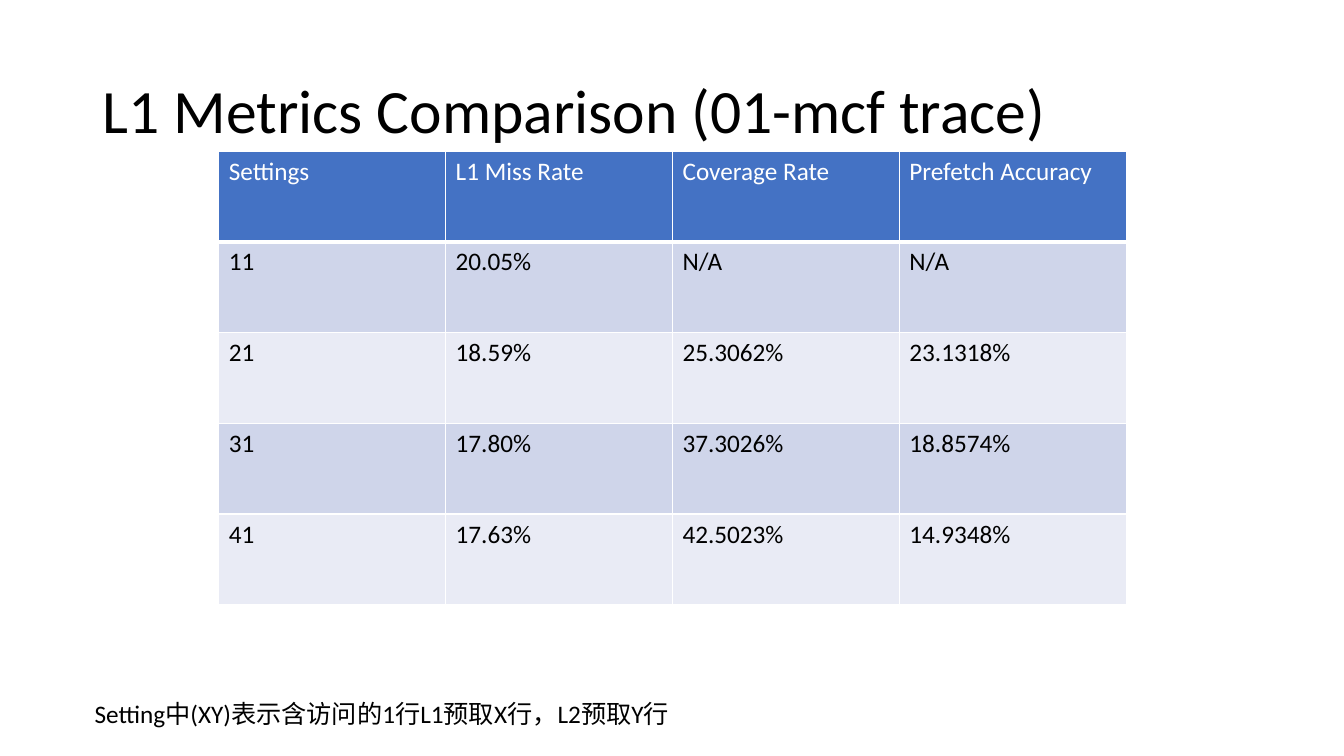
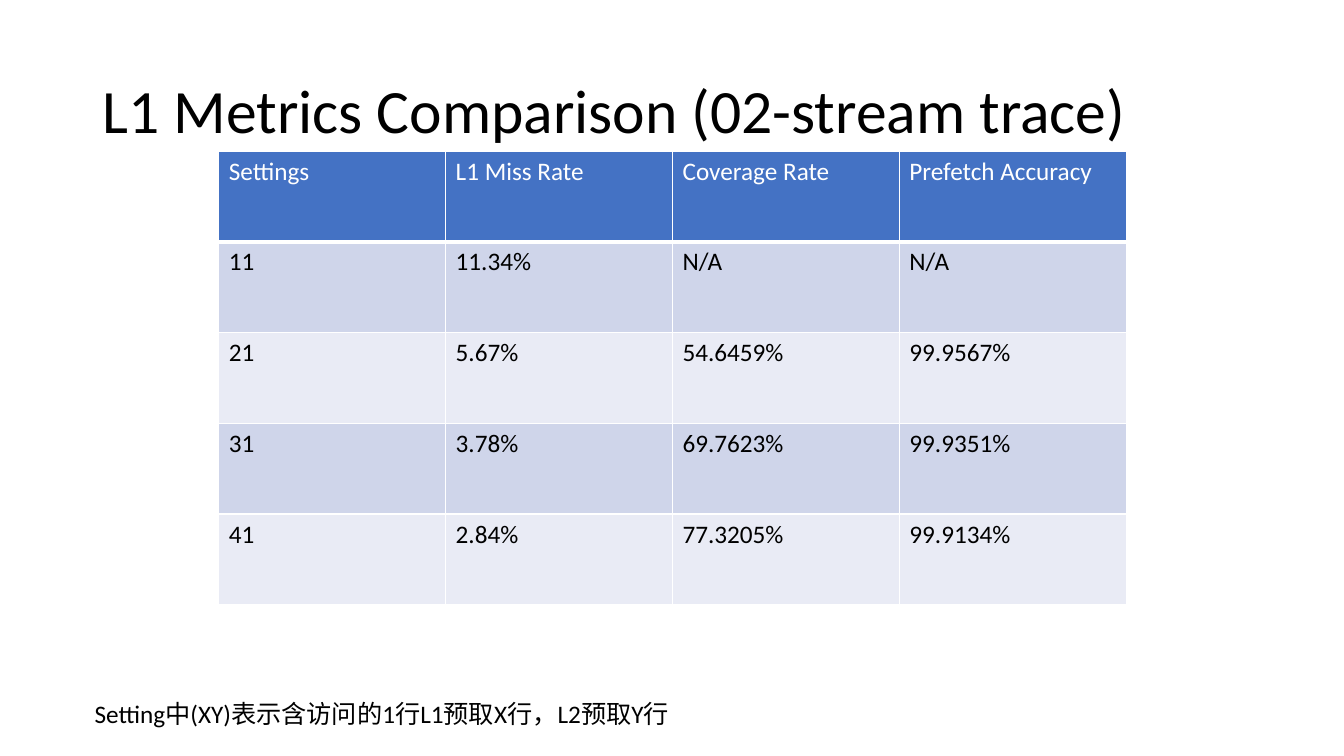
from lxml import etree
from pptx import Presentation
from pptx.dml.color import RGBColor
from pptx.enum.text import MSO_ANCHOR
from pptx.oxml.ns import qn
from pptx.util import Emu, Pt

MIDDLE, TOP = MSO_ANCHOR.MIDDLE, MSO_ANCHOR.TOP
PX = 9144  # EMU in one px, 100 px to the inch
FONT = "Calibri"
BLACK, WHITE, BLUE = "000000", "FFFFFF", "4472C4"
BANDS = ("CFD5EA", "E9EBF5")

SLIDE_SIZE = (1333, 750)
TITLE_BOX = (92, 40, 1150, 145)
TABLE_BOX = (217, 150, 900, 450)
NOTE_BOX = (84, 688, 596, 40)

TITLE = "L1 Metrics Comparison ({} trace)"
NOTE = "Setting中(XY)表示含访问的1行L1预取X行，L2预取Y行"
HEADER = ("Settings", "L1 Miss Rate", "Coverage Rate", "Prefetch Accuracy")
TRACES = {
    "01-mcf": (
        ("11", "20.05%", "N/A", "N/A"),
        ("21", "18.59%", "25.3062%", "23.1318%"),
        ("31", "17.80%", "37.3026%", "18.8574%"),
        ("41", "17.63%", "42.5023%", "14.9348%"),
    ),
    "02-stream": (
        ("11", "11.34%", "N/A", "N/A"),
        ("21", "5.67%", "54.6459%", "99.9567%"),
        ("31", "3.78%", "69.7623%", "99.9351%"),
        ("41", "2.84%", "77.3205%", "99.9134%"),
    ),
}


def px(*lengths):
    return [Emu(n * PX) for n in lengths]


def rgb(color):
    return RGBColor.from_string(color)


def write(tf, text, size, color=BLACK, **paragraph_format):
    p = tf.paragraphs[0]
    for name, value in paragraph_format.items():
        setattr(p, name, value)
    r = p.add_run()
    r.text = text
    for name, value in {"name": FONT, "size": Pt(size), "bold": False}.items():
        setattr(r.font, name, value)
    r.font.color.rgb = rgb(color)


def add_text(slide, box, text, size, anchor=TOP, **paragraph_format):
    tf = slide.shapes.add_textbox(*px(*box)).text_frame
    tf.word_wrap = True
    tf.vertical_anchor = anchor
    write(tf, text, size, **paragraph_format)


def set_borders(cell, widths):
    """Draw white lines; widths maps a side (L, R, T, B) to points."""
    tc_pr = cell._tc.get_or_add_tcPr()
    for i, (side, width) in enumerate(widths.items()):
        ln = etree.Element(qn(f"a:ln{side}"), w=str(Pt(width)))
        fill = etree.SubElement(ln, qn("a:solidFill"))
        etree.SubElement(fill, qn("a:srgbClr"), val=WHITE)
        tc_pr.insert(i, ln)


def add_metrics_table(slide, box, rows):
    rows = (HEADER, *rows)
    table = slide.shapes.add_table(len(rows), len(HEADER), *px(*box)).table
    for i, row in enumerate(rows):
        is_header = i == 0
        fill, color = (BLUE, WHITE) if is_header else (BANDS[(i - 1) % 2], BLACK)
        borders = {"L": 1, "R": 1, "T": 1, "B": 3 if is_header else 1}
        for j, text in enumerate(row):
            cell = table.cell(i, j)
            cell.fill.solid()
            cell.fill.fore_color.rgb = rgb(fill)
            set_borders(cell, borders)
            write(cell.text_frame, text, 18, color)


def add_metrics_slide(prs, trace, rows):
    slide = prs.slides.add_slide(prs.slide_layouts[6])
    add_text(slide, TITLE_BOX, TITLE.format(trace), 44, MIDDLE, line_spacing=0.9)
    add_metrics_table(slide, TABLE_BOX, rows)
    add_text(slide, NOTE_BOX, NOTE, 18)


def main():
    prs = Presentation()
    prs.slide_width, prs.slide_height = px(*SLIDE_SIZE)
    for trace, rows in TRACES.items():
        add_metrics_slide(prs, trace, rows)
    prs.save("out.pptx")


if __name__ == "__main__":
    main()
